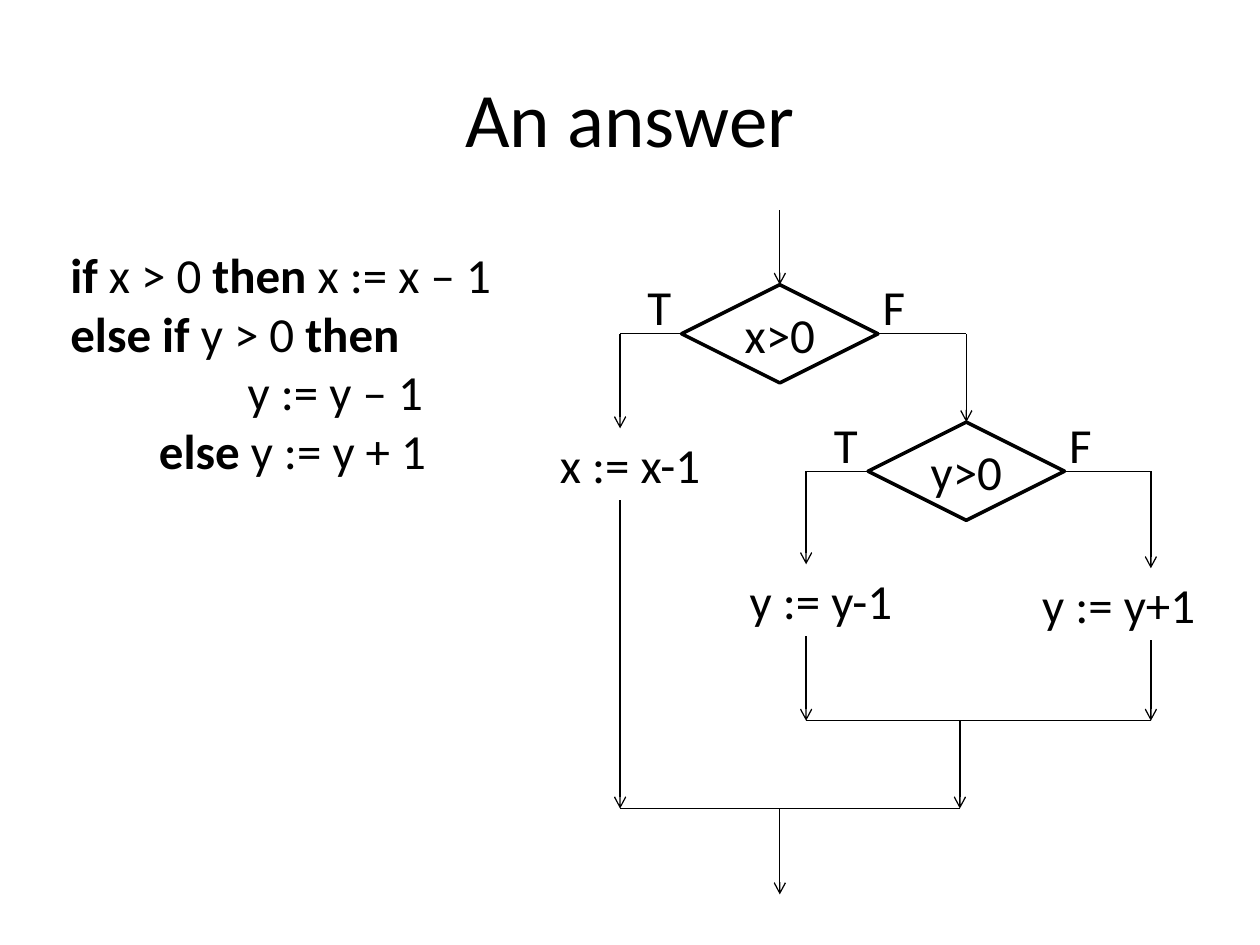
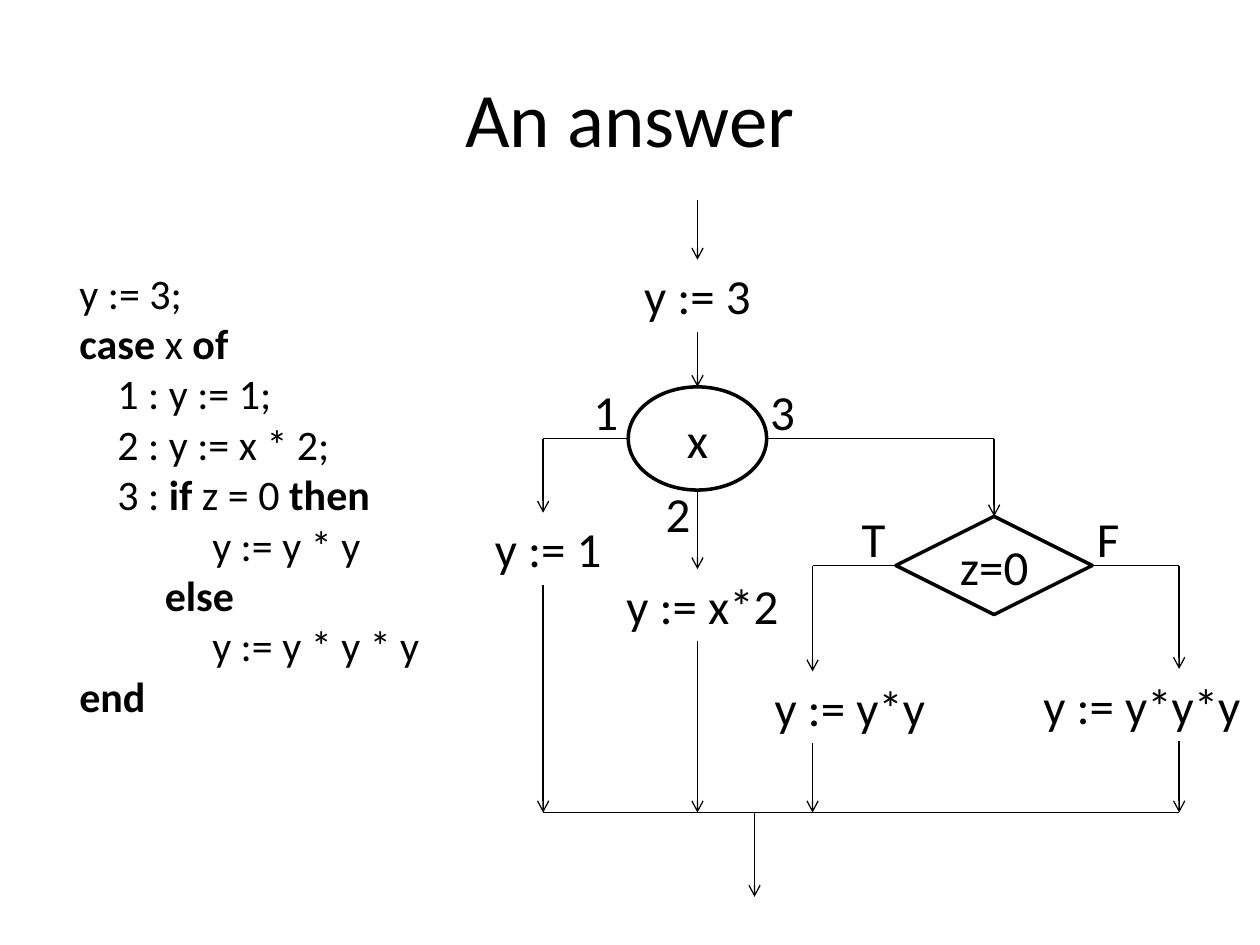
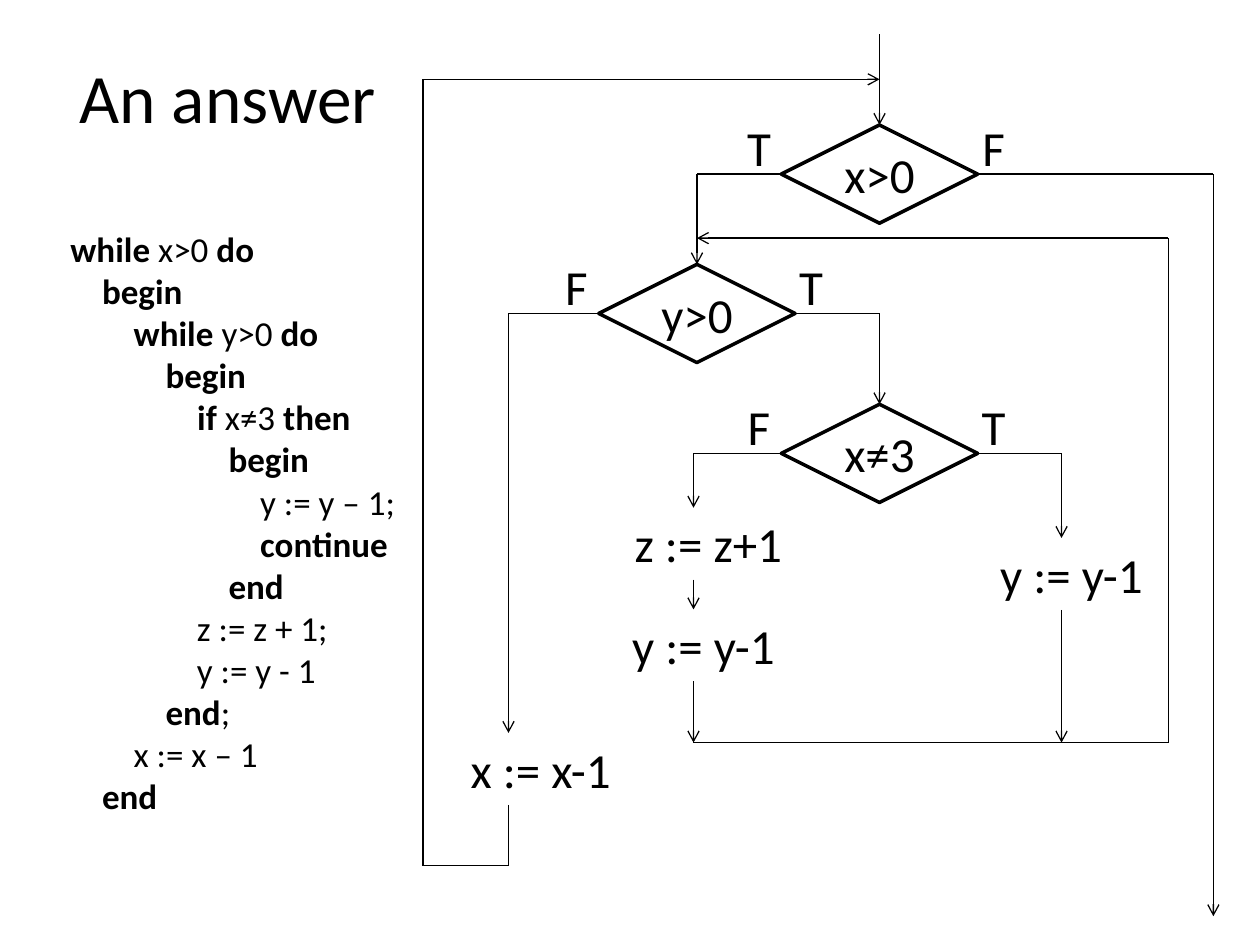
from dataclasses import dataclass
from itertools import pairwise

from lxml import etree
from pptx import Presentation
from pptx import util as u
from pptx.dml.color import RGBColor
from pptx.enum import shapes, text
from pptx.oxml import ns


@dataclass(frozen=True)
class Theme:
    font: str = "Calibri"
    ink: RGBColor = RGBColor(0, 0, 0)
    paper: RGBColor = RGBColor(255, 255, 255)
    title: float = 44
    label: float = 28
    outline: float = 2
    flow: float = 0.75


@dataclass(frozen=True)
class Node:
    caption: str
    kind: tuple
    x: float
    y: float
    shift: float = 0

    def side(self, dx, dy):
        preset, w, h = self.kind
        return self.x + dx * w / 2, self.y + dy * h / 2


T = Theme()
TITLE = "An answer"
WIDE_TITLE = ((1.27, 0.76, 22.86, 3.18), T.title)
DIAMOND = (shapes.MSO_SHAPE.DIAMOND, 3.96, 1.98)
OVAL = (shapes.MSO_SHAPE.OVAL, 2.79, 2.08)
STEP = (None, 0, 1.45)
POINT = (None, 0, 0)
LEFT, RIGHT, DOWN, UP = (-1, 0), (1, 0), (0, 1), (0, -1)
LABEL_OFFSET = {LEFT: (-0.45, -0.55), RIGHT: (0.32, -0.55), DOWN: (-0.39, 0.47)}

SLIDES = [
    {
        "title": WIDE_TITLE,
        "code_box": (1.17, 4.8, 9.14, 5.05),
        "code_size": 28,
        "code": [
            "|if |x > 0 |then |x := x – 1",
            "|else if |y > 0 |then",
            "                y := y – 1",
            "|        else |y := y + 1",
        ],
        "nodes": {
            "start": Node("", POINT, 15.72, 4.24),
            "test x": Node("x>0", DIAMOND, 15.72, 6.73),
            "test y": Node("y>0", DIAMOND, 19.48, 9.5),
            "dec x": Node("x := x-1", STEP, 12.5, 9.36, 0.2),
            "dec y": Node("y := y-1", STEP, 16.25, 12.1, 0.3),
            "inc y": Node("y := y+1", STEP, 23.2, 12.18, -0.65),
            "inner join": Node("", POINT, 19.35, 14.53),
            "outer join": Node("", POINT, 15.72, 16.3),
            "end": Node("", POINT, 15.72, 18.03),
        },
        "edges": [
            ("start", DOWN, "", "test x"),
            ("test x", LEFT, "T", "dec x"),
            ("test x", RIGHT, "F", "test y"),
            ("test y", LEFT, "T", "dec y"),
            ("test y", RIGHT, "F", "inc y"),
            ("outer join", DOWN, "", "end"),
        ],
        "joins": [
            ("inner join", ["dec y", "inc y"]),
            ("outer join", ["dec x", "inner join"]),
        ],
        "loops": [],
    },
    {
        "title": WIDE_TITLE,
        "code_box": (1.35, 5.26, 8.36, 9.5),
        "code_size": 24,
        "code": [
            "y := 3;",
            "|case| x |of",
            "    1 : y := 1;",
            "    2 : y := x * 2;",
            "    3 : |if| z = 0 |then",
            "              y := y * y",
            "         |else",
            "              y := y * y * y",
            "|end",
        ],
        "nodes": {
            "start": Node("", POINT, 14.06, 4.04),
            "set y": Node("y := 3", STEP, 14.06, 5.96),
            "case x": Node("x", OVAL, 14.06, 8.84),
            "test z": Node("z=0", DIAMOND, 20.04, 11.4),
            "one": Node("y := 1", STEP, 10.95, 11.06, 0.1),
            "double": Node("y := x*2", STEP, 14.06, 12.2, 0.1),
            "square": Node("y := y*y", STEP, 16.38, 14.26, 0.75),
            "cube": Node("y := y*y*y", STEP, 23.77, 14.21, -0.75),
            "join": Node("", POINT, 15.21, 16.38),
            "end": Node("", POINT, 15.21, 18.08),
        },
        "edges": [
            ("start", DOWN, "", "set y"),
            ("set y", DOWN, "", "case x"),
            ("case x", LEFT, "1", "one"),
            ("case x", DOWN, "2", "double"),
            ("case x", RIGHT, "3", "test z"),
            ("test z", LEFT, "T", "square"),
            ("test z", RIGHT, "F", "cube"),
            ("join", DOWN, "", "end"),
        ],
        "joins": [("join", ["one", "double", "square", "cube"])],
        "loops": [],
    },
    {
        "title": ((1.27, 0.76, 6.65, 2.36), 39.6),
        "code_box": (1.17, 4.47, 7.42, 12.22),
        "code_size": 20,
        "code": [
            "|while| x>0 |do",
            "|    begin",
            "|        while |y>0| do",
            "            |begin",
            "                |if| x≠3 |then",
            "|                    begin",
            "                        y := y – 1;",
            "|                        continue",
            "|                    end",
            "                z := z + 1;",
            "                y := y - 1",
            "            |end|;",
            "        x := x – 1",
            "|    end",
        ],
        "nodes": {
            "start": Node("", POINT, 17.73, 0.69),
            "test x": Node("x>0", DIAMOND, 17.73, 3.51),
            "test y": Node("y>0", DIAMOND, 14.05, 6.32),
            "test three": Node("x≠3", DIAMOND, 17.73, 9.14),
            "dec x": Node("x := x-1", STEP, 10.25, 15.5, 0.65),
            "inc z": Node("z := z+1", STEP, 13.98, 10.96, 0.3),
            "dec y": Node("y := y-1", STEP, 13.98, 13.01, 0.2),
            "skip": Node("y := y-1", STEP, 21.4, 11.57, 0.2),
            "join": Node("", POINT, 23.55, 14.97),
            "turn": Node("", POINT, 8.53, 17.45),
            "end": Node("", POINT, 24.46, 18.47),
        },
        "edges": [
            ("start", DOWN, "", "test x"),
            ("test x", LEFT, "T", "test y"),
            ("test x", RIGHT, "F", "end"),
            ("test y", LEFT, "F", "dec x"),
            ("test y", RIGHT, "T", "test three"),
            ("test three", LEFT, "F", "inc z"),
            ("test three", RIGHT, "T", "skip"),
            ("inc z", DOWN, "", "dec y"),
        ],
        "joins": [("join", ["dec y", "skip"]), ("turn", ["dec x"])],
        "loops": [("join", "test y", 0.53), ("turn", "test x", 0.92)],
    },
]


def cm(*values):
    return [u.Cm(v) for v in values]


def style(p, size, align=text.PP_ALIGN.LEFT):
    p.alignment = align
    p.font.name = T.font
    p.font.size = u.Pt(size)
    p.font.color.rgb = T.ink


def add_title(s, box, size):
    sp = s.shapes.title
    sp.left, sp.top, sp.width, sp.height = cm(*box)
    sp.text_frame.text = TITLE
    sp.text_frame.vertical_anchor = text.MSO_ANCHOR.MIDDLE
    style(sp.text_frame.paragraphs[0], size, text.PP_ALIGN.CENTER)


def add_code(s, box, lines, size):
    tf = s.shapes.add_textbox(*cm(*box)).text_frame
    tf.word_wrap = True
    for i, line in enumerate(lines):
        p = tf.add_paragraph() if i else tf.paragraphs[0]
        style(p, size)
        for j, piece in enumerate(line.split("|")):
            if piece:
                r = p.add_run()
                r.text = piece
                r.font.bold = j % 2 == 1


def add_label(s, caption, x, y):
    w, h = 0.4 + 0.41 * len(caption), STEP[2]
    tf = s.shapes.add_textbox(*cm(x - w / 2, y - h / 2, w, h)).text_frame
    tf.word_wrap = True
    tf.margin_left = tf.margin_right = 0
    tf.text = caption
    style(tf.paragraphs[0], T.label, text.PP_ALIGN.CENTER)


def add_node(s, node):
    preset, w, h = node.kind
    if preset is None:
        if node.caption:
            add_label(s, node.caption, node.x + node.shift, node.y)
        return
    sp = s.shapes.add_shape(preset, *cm(*node.side(-1, -1), w, h))
    sp.shadow.inherit = False
    sp.fill.background()
    sp.line.color.rgb = T.ink
    sp.line.width = u.Pt(T.outline)
    tf = sp.text_frame
    tf.word_wrap = False
    tf.vertical_anchor = text.MSO_ANCHOR.MIDDLE
    tf.text = node.caption
    style(tf.paragraphs[0], T.label, text.PP_ALIGN.CENTER)


def add_route(s, points, arrow=True):
    for start, end in pairwise(points):
        c = s.shapes.add_connector(shapes.MSO_CONNECTOR.STRAIGHT, *cm(*start, *end))
        c.line.color.rgb = T.ink
        c.line.width = u.Pt(T.flow)
        etree.SubElement(c.element.spPr, ns.qn("a:effectLst"))
    if arrow:
        ln = c.element.spPr.find(ns.qn("a:ln"))
        etree.SubElement(ln, ns.qn("a:tailEnd"), type="arrow")


def add_edge(s, source, side, caption, target):
    x, y = source.side(*side)
    corner = [] if side == DOWN else [(target.x, y)]
    add_route(s, [(x, y), *corner, target.side(*UP)])
    if caption:
        dx, dy = LABEL_OFFSET[side]
        add_label(s, caption, x + dx, y + dy)


def add_join(s, join, inputs):
    for node in inputs:
        add_route(s, [node.side(*DOWN), (node.x, join.y)], len(inputs) > 1)
    columns = [node.x for node in [*inputs, join]]
    add_route(s, [(min(columns), join.y), (max(columns), join.y)], False)


def add_loop(s, join, target, gap):
    y = target.side(*UP)[1] - gap
    add_route(s, [(join.x, join.y), (join.x, y), (target.x, y)])


def add_flowchart(s, content):
    nodes = content["nodes"]
    for source, side, caption, target in content["edges"]:
        add_edge(s, nodes[source], side, caption, nodes[target])
    for join, inputs in content["joins"]:
        add_join(s, nodes[join], [nodes[name] for name in inputs])
    for join, target, gap in content["loops"]:
        add_loop(s, nodes[join], nodes[target], gap)
    for node in nodes.values():
        add_node(s, node)


def main():
    prs = Presentation()
    prs.slide_width, prs.slide_height = cm(25.4, 19.05)
    fill = prs.slide_master.background.fill
    fill.solid()
    fill.fore_color.rgb = T.paper
    for content in SLIDES:
        s = prs.slides.add_slide(prs.slide_layouts[5])
        add_title(s, *content["title"])
        add_code(s, content["code_box"], content["code"], content["code_size"])
        add_flowchart(s, content)
    prs.save("out.pptx")


if __name__ == "__main__":
    main()
